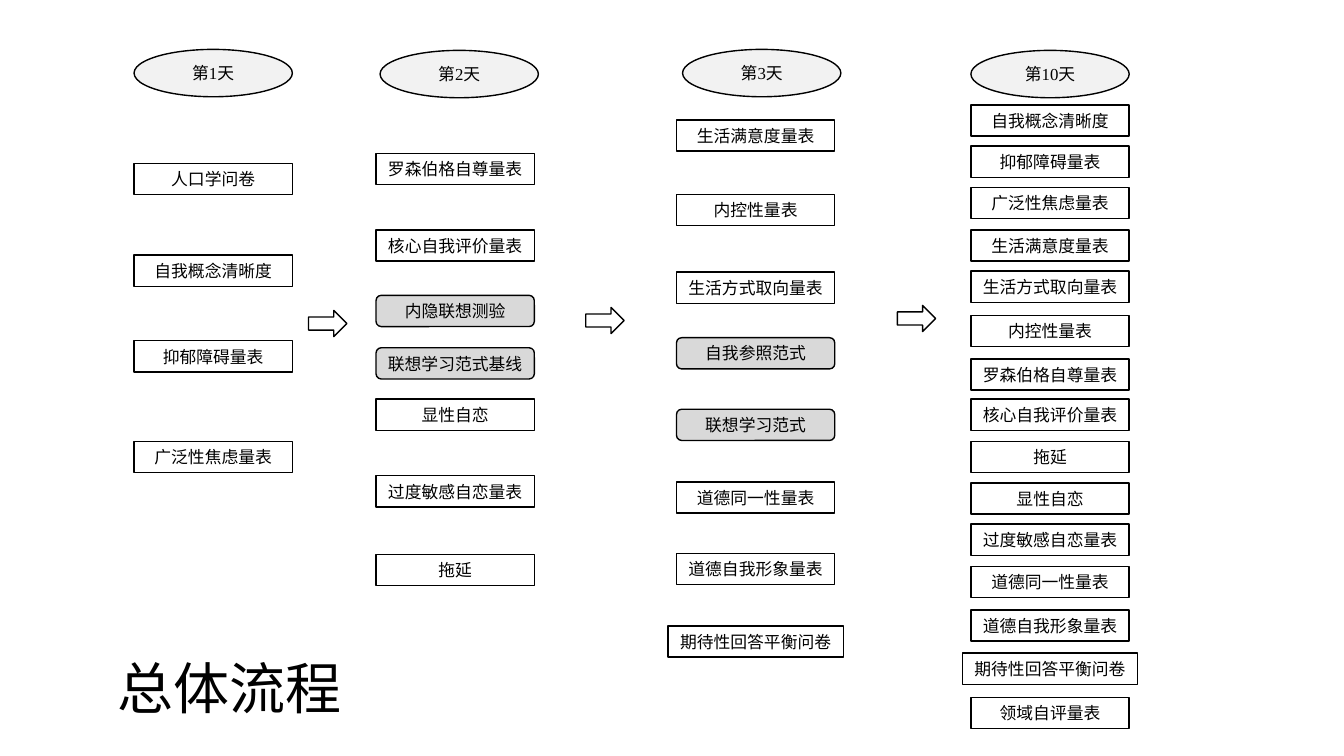
from pptx import Presentation
from pptx.dml.color import RGBColor
from pptx.enum.shapes import MSO_SHAPE as SHAPE
from pptx.enum.text import MSO_ANCHOR as ANCHOR, MSO_AUTO_SIZE as AUTO_SIZE, PP_ALIGN as ALIGN
from pptx.util import Inches, Pt
from lxml import etree

A_NS = "http://schemas.openxmlformats.org/drawingml/2006/main"
BOX_W, BOX_H, WIDE_W = 1.57, 0.31, 1.74
TASKS = {
    "内隐联想测验": SHAPE.FLOWCHART_ALTERNATE_PROCESS,
    "联想学习范式基线": SHAPE.ROUNDED_RECTANGLE,
    "自我参照范式": SHAPE.ROUNDED_RECTANGLE,
    "联想学习范式": SHAPE.ROUNDED_RECTANGLE,
}
# Day label, its left and top, left of the boxes, then each box with its top
DAYS = [
    ("第1天", 1.33, 0.49, 1.33, [
        ("人口学问卷", 1.62), ("自我概念清晰度", 2.53),
        ("抑郁障碍量表", 3.38), ("广泛性焦虑量表", 4.38)]),
    ("第2天", 3.77, 0.5, 3.73, [
        ("罗森伯格自尊量表", 1.52), ("核心自我评价量表", 2.28),
        ("内隐联想测验", 2.93), ("联想学习范式基线", 3.45),
        ("显性自恋", 3.96), ("过度敏感自恋量表", 4.72), ("拖延", 5.5)]),
    ("第3天", 6.77, 0.49, 6.71, [
        ("生活满意度量表", 1.19), ("内控性量表", 1.93),
        ("生活方式取向量表", 2.7), ("自我参照范式", 3.35),
        ("联想学习范式", 4.06), ("道德同一性量表", 4.78),
        ("道德自我形象量表", 5.49), ("期待性回答平衡问卷", 6.21)]),
    ("第10天", 9.63, 0.5, 9.63, [
        ("自我概念清晰度", 1.04), ("抑郁障碍量表", 1.45),
        ("广泛性焦虑量表", 1.86), ("生活满意度量表", 2.28),
        ("生活方式取向量表", 2.69), ("内控性量表", 3.13),
        ("罗森伯格自尊量表", 3.56), ("核心自我评价量表", 3.96),
        ("拖延", 4.38), ("显性自恋", 4.79), ("过度敏感自恋量表", 5.2),
        ("道德同一性量表", 5.62), ("道德自我形象量表", 6.05),
        ("期待性回答平衡问卷", 6.48), ("领域自评量表", 6.92)]),
]
ARROWS = [(3.06, 3.08), (5.81, 3.05), (8.9, 3.03)]


def color(value):
    return RGBColor.from_string(value)


class FlowSlide:
    ink, white, pale, grey = "000000", "FFFFFF", "F2F2F2", "D9D9D9"
    latin, cjk = "Times New Roman", "Noto Sans CJK SC"

    def __init__(self, prs):
        self.s = prs.slides.add_slide(prs.slide_layouts[5])

    def set_text(self, tf, text, size, font, align):
        tf.text = text
        p = tf.paragraphs[0]
        p.alignment = align
        for r in p.runs:
            r.font.size = Pt(size)
            r.font.name = font
            r.font.color.rgb = color(self.ink)
            ea = etree.Element(f"{{{A_NS}}}ea", typeface=self.cjk)
            r.font._element.find(f"{{{A_NS}}}latin").addnext(ea)

    def title(self, text, x, y, w, h):
        sp = self.s.shapes.title
        sp.left, sp.top, sp.width, sp.height = map(Inches, (x, y, w, h))
        tf = sp.text_frame
        tf.word_wrap = True
        tf.auto_size = AUTO_SIZE.NONE
        tf.vertical_anchor = ANCHOR.TOP
        self.set_text(tf, text, 40, self.cjk, ALIGN.LEFT)

    def shape(self, kind, x, y, w, h, fill):
        sp = self.s.shapes.add_shape(kind, *map(Inches, (x, y, w, h)))
        sp.shadow.inherit = False
        sp.fill.solid()
        sp.fill.fore_color.rgb = color(fill)
        sp.line.color.rgb = color(self.ink)
        sp.line.width = Pt(1)
        return sp

    def label(self, text, kind, x, y, w, h, fill):
        tf = self.shape(kind, x, y, w, h, fill).text_frame
        tf.margin_left = tf.margin_right = Inches(0.05)
        tf.margin_top = tf.margin_bottom = 0
        tf.vertical_anchor = ANCHOR.MIDDLE
        self.set_text(tf, text, 12, self.latin, ALIGN.CENTER)

    def day(self, text, x, y):
        self.label(text, SHAPE.OVAL, x, y, BOX_W, 0.47, self.pale)

    def box(self, text, x, y):
        """Draw a scale or task box; long names get a wider box on the same centre."""
        w = WIDE_W if len(text) > 8 else BOX_W
        kind = TASKS.get(text, SHAPE.RECTANGLE)
        fill = self.grey if text in TASKS else self.white
        self.label(text, kind, x - (w - BOX_W) / 2, y, w, BOX_H, fill)

    def arrow(self, x, y):
        self.shape(SHAPE.RIGHT_ARROW, x, y, 0.38, 0.26, self.white)


def main():
    prs = Presentation()
    prs.slide_width, prs.slide_height = Inches(13.33), Inches(7.5)
    flow = FlowSlide(prs)
    flow.title("总体流程", 1.07, 6.43, 5.03, 0.77)
    for day, day_x, day_y, box_x, boxes in DAYS:
        flow.day(day, day_x, day_y)
        for name, top in boxes:
            flow.box(name, box_x, top)
    for x, y in ARROWS:
        flow.arrow(x, y)
    prs.save("out.pptx")


if __name__ == "__main__":
    main()
